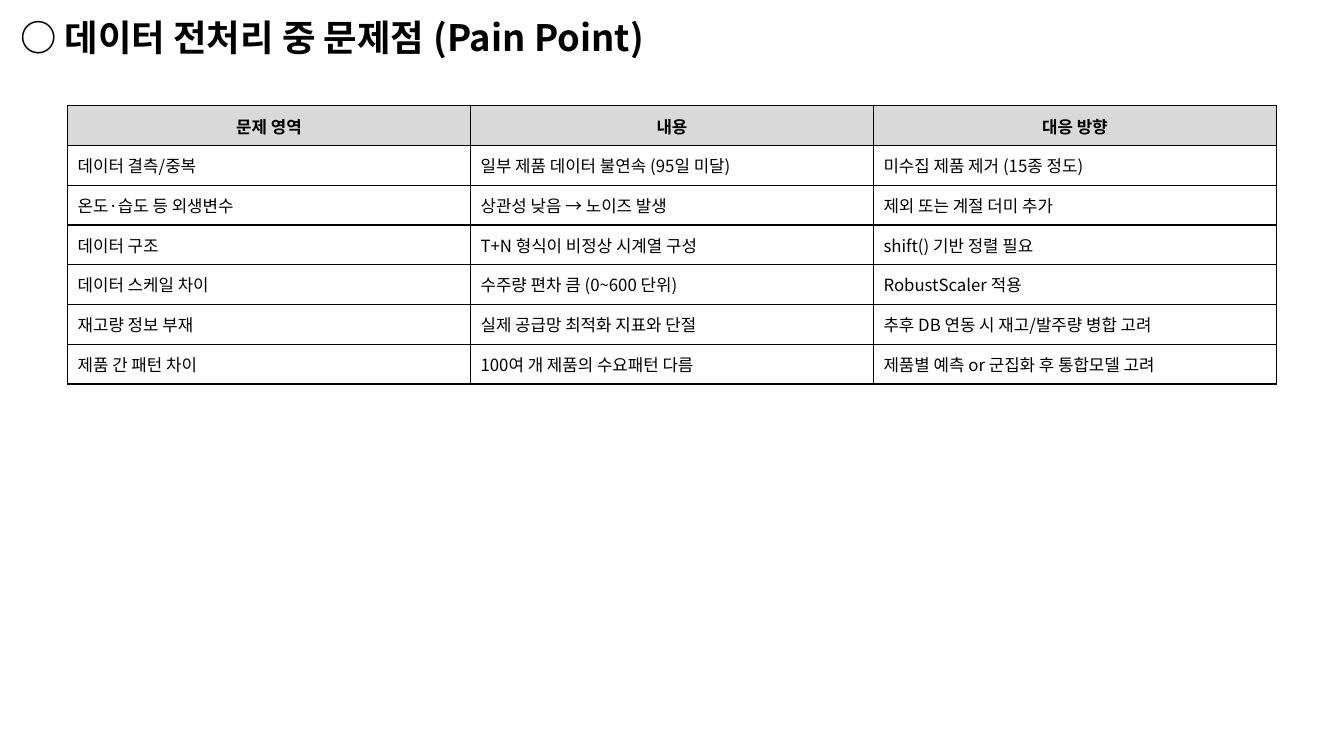
import pptx
import pptx.dml.color
import pptx.enum.text
import pptx.oxml.ns
import pptx.util
from lxml import etree

Inches = pptx.util.Inches
BLACK = pptx.dml.color.RGBColor(0x00, 0x00, 0x00)
HEADER_GRAY = pptx.dml.color.RGBColor(0xD9, 0xD9, 0xD9)

TITLE = "○ 데이터 전처리 중 문제점 (Pain Point)"
HEADERS = ("문제 영역", "내용", "대응 방향")
PAIN_POINTS = (
    ("데이터 결측/중복", "일부 제품 데이터 불연속 (95일 미달)", "미수집 제품 제거 (15종 정도)"),
    ("온도·습도 등 외생변수", "상관성 낮음 → 노이즈 발생", "제외 또는 계절 더미 추가"),
    ("데이터 구조", "T+N 형식이 비정상 시계열 구성", "shift() 기반 정렬 필요"),
    ("데이터 스케일 차이", "수주량 편차 큼 (0~600 단위)", "RobustScaler 적용"),
    ("재고량 정보 부재", "실제 공급망 최적화 지표와 단절", "추후 DB 연동 시 재고/발주량 병합 고려"),
    ("제품 간 패턴 차이", "100여 개 제품의 수요패턴 다름", "제품별 예측 or 군집화 후 통합모델 고려"),
)


class SlideBuilder:
    font_name = "Noto Sans CJK KR"
    border_width = pptx.util.Pt(1)

    def __init__(self, slide):
        self.slide = slide

    def format_text(self, text_frame, size, bold):
        for paragraph in text_frame.paragraphs:
            for run in paragraph.runs:
                run.font.name = self.font_name
                run.font.size = pptx.util.Pt(size)
                run.font.bold = bold
                run.font.color.rgb = BLACK
                east_asian = etree.SubElement(run.font._element, pptx.oxml.ns.qn("a:ea"))
                east_asian.set("typeface", self.font_name)

    def add_title(self, text, left, top, width, height):
        shape = self.slide.shapes.add_textbox(
            Inches(left), Inches(top), Inches(width), Inches(height)
        )
        text_frame = shape.text_frame
        text_frame.word_wrap = False
        text_frame.auto_size = pptx.enum.text.MSO_AUTO_SIZE.SHAPE_TO_FIT_TEXT
        text_frame.text = text
        self.format_text(text_frame, 26, True)

    def add_borders(self, cell):
        properties = cell._tc.get_or_add_tcPr()
        for index, side in enumerate(("lnL", "lnR", "lnT", "lnB")):
            line = etree.Element(pptx.oxml.ns.qn(f"a:{side}"), w=str(self.border_width))
            fill = etree.SubElement(line, pptx.oxml.ns.qn("a:solidFill"))
            etree.SubElement(fill, pptx.oxml.ns.qn("a:srgbClr"), val=str(BLACK))
            properties.insert(index, line)

    def format_cell(self, cell, text, is_header):
        cell.text = text
        cell.vertical_anchor = pptx.enum.text.MSO_ANCHOR.MIDDLE
        if is_header:
            cell.fill.solid()
            cell.fill.fore_color.rgb = HEADER_GRAY
            cell.text_frame.paragraphs[0].alignment = pptx.enum.text.PP_ALIGN.CENTER
        else:
            cell.fill.background()
        self.format_text(cell.text_frame, 12, is_header)
        self.add_borders(cell)

    def add_table(self, rows, left, top, width, height):
        table = self.slide.shapes.add_table(
            len(rows), len(rows[0]), Inches(left), Inches(top), Inches(width), Inches(height)
        ).table
        table.first_row = False
        table.horz_banding = False
        for row_index, row in enumerate(rows):
            for column_index, text in enumerate(row):
                self.format_cell(table.cell(row_index, column_index), text, row_index == 0)


def main():
    presentation = pptx.Presentation()
    presentation.slide_width = Inches(13.33)
    presentation.slide_height = Inches(7.5)
    builder = SlideBuilder(presentation.slides.add_slide(presentation.slide_layouts[6]))
    builder.add_title(TITLE, 0.1, 0.1, 6.88, 0.54)
    builder.add_table((HEADERS, *PAIN_POINTS), 0.67, 1.05, 11.99, 2.76)
    presentation.save("out.pptx")


if __name__ == "__main__":
    main()
